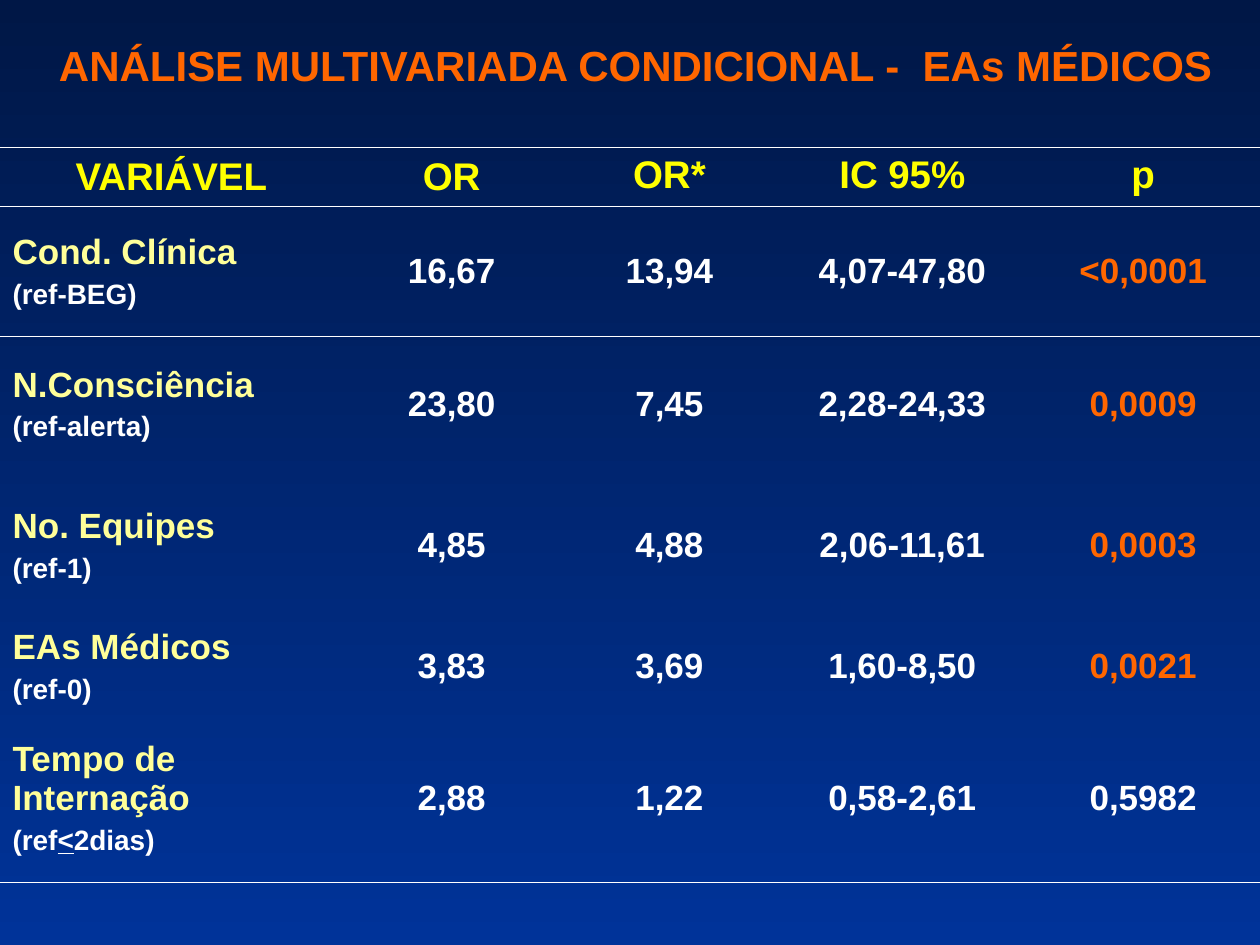
from lxml import etree
from pptx import Presentation
from pptx.dml.color import RGBColor
from pptx.enum import text as t
from pptx.oxml import ns
from pptx.util import Cm, Pt

TITLE = "ANÁLISE MULTIVARIADA CONDICIONAL -  EAs MÉDICOS"
HEAD = ["VARIÁVEL", "OR", "OR*", "IC 95%", "p"]
# variable, reference runs (every second run is underlined), values
ROWS = [
    ("Cond. Clínica", ["(ref-BEG)"], ["16,67", "13,94", "4,07-47,80", "<0,0001"]),
    ("N.Consciência", ["(ref-alerta)"], ["23,80", "7,45", "2,28-24,33", "0,0009"]),
    ("No. Equipes", ["(ref-1)"], ["4,85", "4,88", "2,06-11,61", "0,0003"]),
    ("EAs Médicos", ["(ref-0)"], ["3,83", "3,69", "1,60-8,50", "0,0021"]),
    ("Tempo de Internação", ["(ref", "<", "2dias)"],
     ["2,88", "1,22", "0,58-2,61", "0,5982"]),
]
WIDTHS = [6.91, 4.39, 4.39, 5.0, 4.71]
HEIGHTS = [1.19, 2.62, 2.74, 2.95, 1.93, 3.38]

WHITE, ORANGE, YELLOW, CREAM = "FFFFFF", "FF6600", "FFFF00", "FFFF99"
NAVY, BLUE = "001746", "003399"
PLAIN = "{2D5ABB26-0587-4C30-8999-92F81FD0307C}"  # no style, no grid
MID, TOP = t.MSO_ANCHOR.MIDDLE, t.MSO_ANCHOR.TOP
LEFT, CENTER = t.PP_ALIGN.LEFT, t.PP_ALIGN.CENTER


def rgb(color):
    return RGBColor.from_string(color)


def write(para, runs, size, color, align=CENTER, before=0):
    """Fill a paragraph, underlining every second run."""
    for i, part in enumerate(runs):
        run = para.add_run()
        run.text = part
        if i % 2:
            run.font.underline = True
    para.alignment = align
    para.space_before = Pt(before)
    font = para.font
    font.name, font.size, font.bold = "Arial", Pt(size), True
    font.color.rgb = rgb(color)


def rule(cell, side):
    """Draw a thin white border on one side (lnT or lnB) of a cell."""
    line = etree.SubElement(cell._tc.get_or_add_tcPr(), ns.qn("a:" + side),
                            w=str(Pt(0.45)))
    fill = etree.SubElement(line, ns.qn("a:solidFill"))
    etree.SubElement(fill, ns.qn("a:srgbClr"), val=WHITE)


def paint(slide):
    fill = slide.background.fill
    fill.gradient()
    fill.gradient_angle = 270
    for stop, color in zip(fill.gradient_stops, (NAVY, BLUE)):
        stop.color.rgb = rgb(color)


def add_title(slide):
    title = slide.shapes.title
    title.left, title.top = Cm(-0.89), Cm(-0.28)
    title.width, title.height = Cm(27.41), Cm(3.18)
    frame = title.text_frame
    frame.vertical_anchor = MID
    frame.word_wrap = True
    write(frame.paragraphs[0], [TITLE], 24, ORANGE)


def add_grid(slide):
    frame = slide.shapes.add_table(len(HEIGHTS), len(WIDTHS), 0, Cm(2.97),
                                   Cm(sum(WIDTHS)), Cm(sum(HEIGHTS)))
    table = frame.table
    table.first_row = table.horz_banding = False
    table._tbl.tblPr.find(ns.qn("a:tableStyleId")).text = PLAIN
    for col, width in zip(table.columns, WIDTHS):
        col.width = Cm(width)
    for row, height in zip(table.rows, HEIGHTS):
        row.height = Cm(height)

    last = len(ROWS)
    for r in range(last + 1):
        for c in range(len(HEAD)):
            cell = table.cell(r, c)
            if r in (0, 1):
                rule(cell, "lnT")
            if r in (0, last):
                rule(cell, "lnB")
            cell.fill.background()
            cell.vertical_anchor = TOP if r == 0 and c > 1 else MID
            para = cell.text_frame.paragraphs[0]
            if r == 0:
                write(para, [HEAD[c]], 22, YELLOW, before=5.5)
                continue
            name, ref, values = ROWS[r - 1]
            if c == 0:
                write(para, [name], 20, CREAM, LEFT, 5)
                write(cell.text_frame.add_paragraph(), ref, 16, WHITE, LEFT, 4)
            else:
                strong = c == len(HEAD) - 1 and r < last
                write(para, [values[c - 1]], 20, ORANGE if strong else WHITE,
                      before=5)


def main():
    deck = Presentation()
    deck.slide_width, deck.slide_height = Cm(25.4), Cm(19.05)
    slide = deck.slides.add_slide(deck.slide_layouts[5])
    paint(slide)
    add_title(slide)
    add_grid(slide)
    deck.save("out.pptx")


if __name__ == "__main__":
    main()
